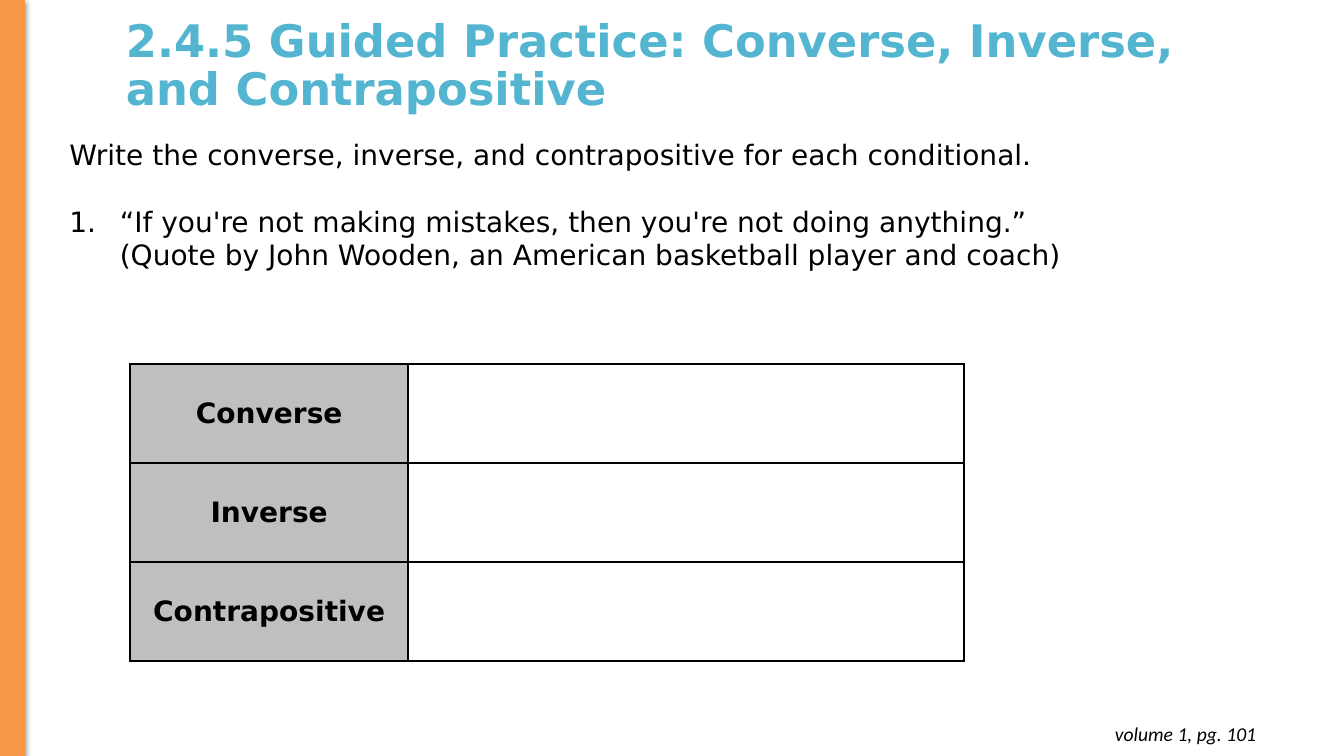
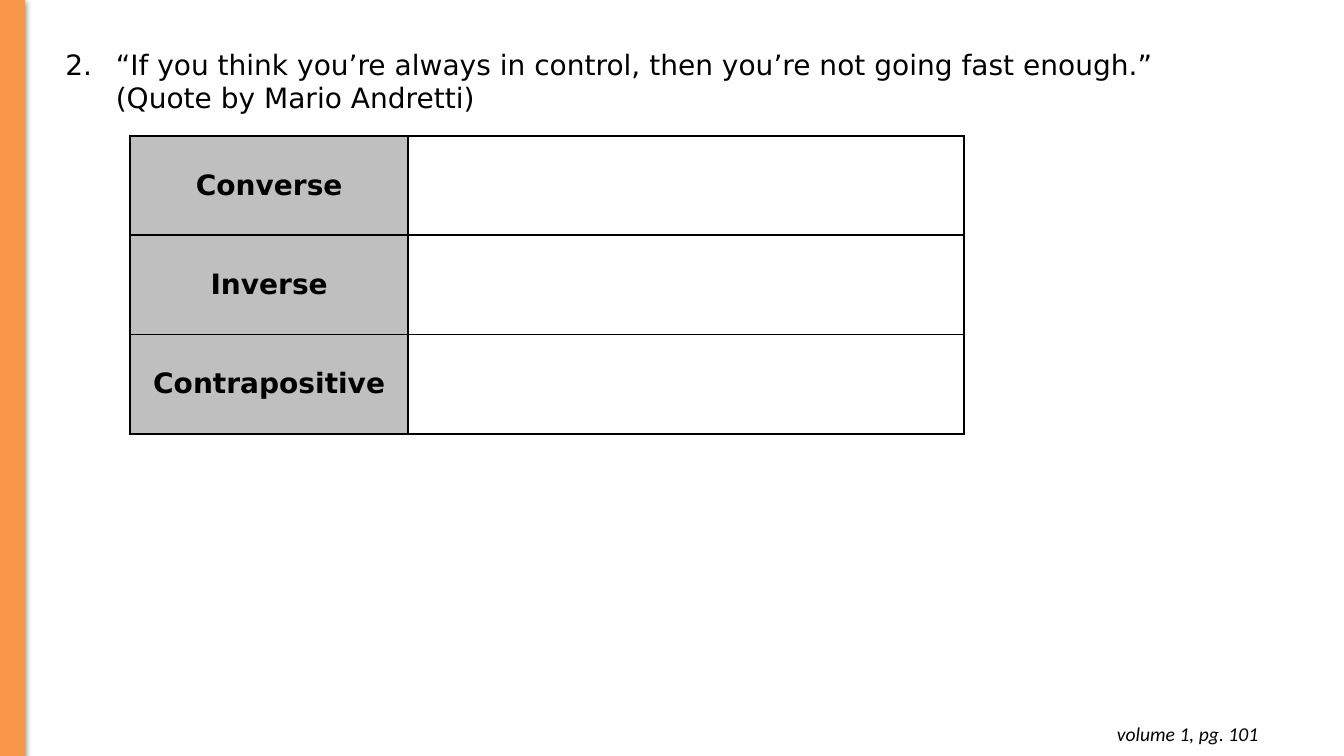
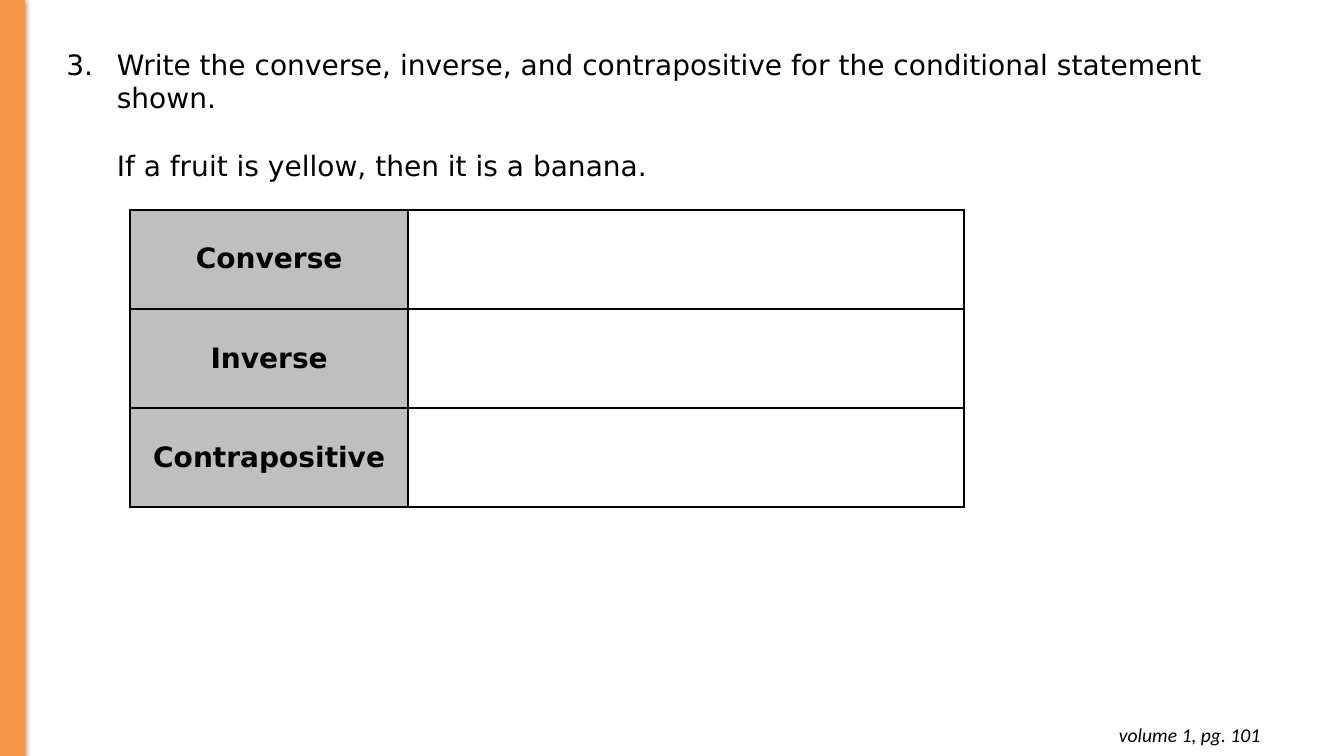
from lxml.etree import SubElement
from pptx import Presentation
from pptx.dml.color import RGBColor
from pptx.enum.shapes import MSO_SHAPE
from pptx.enum.text import MSO_ANCHOR, PP_ALIGN
from pptx.oxml.ns import qn
from pptx.util import Emu, Pt

# Shared look: 100 px to the inch
PX = 9144
SLIDE_WIDTH, SLIDE_HEIGHT = 1333, 750
BLACK = RGBColor(0x00, 0x00, 0x00)
ORANGE = RGBColor(0xF7, 0x96, 0x47)
TEAL = RGBColor(0x54, 0xB5, 0xD1)
GRAY = RGBColor(0xBF, 0xBF, 0xBF)
BODY_FONT, FOOTER_FONT = "DejaVu Sans", "Calibri"
BODY_SIZE = 20
NUMBER_INDENT = 50
BLANK_LINE = Pt(24)

FORMS = ("Converse", "Inverse", "Contrapositive")
FORM_COLUMNS = (276, 551)
FORM_ROW_HEIGHT = 98.4


def px(length):
    return Emu(round(length * PX))


def add_run(paragraph, text, size=BODY_SIZE, font=BODY_FONT, color=BLACK,
            bold=False, italic=False):
    run = paragraph.add_run()
    run.text = text
    run.font.size = Pt(size)
    run.font.name = font
    run.font.color.rgb = color
    run.font.bold = bold
    run.font.italic = italic


def add_text_frame(slide, box):
    text_frame = slide.shapes.add_textbox(*map(px, box)).text_frame
    text_frame.word_wrap = True
    return text_frame


def add_side_band(slide):
    band = slide.shapes.add_shape(
        MSO_SHAPE.RECTANGLE, *map(px, (0, 0, 24, SLIDE_HEIGHT)))
    band.fill.solid()
    band.fill.fore_color.rgb = ORANGE
    band.line.color.rgb = ORANGE
    band.line.width = Pt(0.75)
    # Soft shadow along the edge
    band.shadow.inherit = False
    effects = band.element.spPr.find(qn("a:effectLst"))
    shadow = SubElement(effects, qn("a:outerShdw"), blurRad=str(Pt(4.5)),
                        dist=str(Pt(1.5)), dir="5400000", rotWithShape="0")
    color = SubElement(shadow, qn("a:srgbClr"), val=str(BLACK))
    SubElement(color, qn("a:alpha"), val="50000")


def add_title(slide, text, box):
    text_frame = add_text_frame(slide, box)
    text_frame.vertical_anchor = MSO_ANCHOR.MIDDLE
    paragraph = text_frame.paragraphs[0]
    paragraph.line_spacing = 0.9
    add_run(paragraph, text, size=32, color=TEAL, bold=True)


def set_indent(paragraph, left, first):
    properties = paragraph._p.get_or_add_pPr()
    properties.set("marL", str(px(left)))
    properties.set("indent", str(px(first)))
    return properties


def set_number(paragraph, number):
    properties = set_indent(paragraph, NUMBER_INDENT, -NUMBER_INDENT)
    color = SubElement(properties, qn("a:buClr"))
    SubElement(color, qn("a:srgbClr"), val=str(BLACK))
    SubElement(properties, qn("a:buAutoNum"), type="arabicPeriod",
               startAt=str(number))


def add_question(slide, box, number, question, intro=None, statement=None):
    """Numbered question, with an optional line above and below it."""
    text_frame = add_text_frame(slide, box)
    paragraph = text_frame.paragraphs[0]
    if intro:
        add_run(paragraph, intro)
        paragraph = text_frame.add_paragraph()
        paragraph.space_before = BLANK_LINE
    set_number(paragraph, number)
    add_run(paragraph, question)
    if statement:
        paragraph = text_frame.add_paragraph()
        paragraph.space_before = BLANK_LINE
        set_indent(paragraph, NUMBER_INDENT, 0)
        add_run(paragraph, statement)


def set_borders(cell):
    properties = cell._tc.get_or_add_tcPr()
    for side in ("lnL", "lnR", "lnT", "lnB"):
        line = SubElement(properties, qn(f"a:{side}"), w=str(Pt(1.5)))
        fill = SubElement(line, qn("a:solidFill"))
        SubElement(fill, qn("a:srgbClr"), val=str(BLACK))


def add_forms_table(slide, left, top):
    """Answer grid: a gray label and an empty cell for each form."""
    table = slide.shapes.add_table(
        len(FORMS), len(FORM_COLUMNS), px(left), px(top),
        px(sum(FORM_COLUMNS)), px(FORM_ROW_HEIGHT * len(FORMS))).table
    table.first_row = False
    table.horz_banding = False
    for column, width in zip(table.columns, FORM_COLUMNS):
        column.width = px(width)
    for row, form in zip(table.rows, FORMS):
        row.height = px(FORM_ROW_HEIGHT)
        label, answer = row.cells
        set_borders(label)
        set_borders(answer)
        answer.fill.background()
        label.fill.solid()
        label.fill.fore_color.rgb = GRAY
        label.vertical_anchor = MSO_ANCHOR.MIDDLE
        paragraph = label.text_frame.paragraphs[0]
        paragraph.alignment = PP_ALIGN.CENTER
        add_run(paragraph, form, bold=True)


def add_footer(slide, left, top):
    text_frame = add_text_frame(slide, (left, top, 288, 44))
    text_frame.margin_top = text_frame.margin_bottom = px(10)
    paragraph = text_frame.paragraphs[0]
    paragraph.alignment = PP_ALIGN.RIGHT
    add_run(paragraph, "volume 1, pg. 101", size=14, font=FOOTER_FONT,
            italic=True)


def add_practice_slide(presentation, table_top, footer_at, **question):
    slide = presentation.slides.add_slide(presentation.slide_layouts[6])
    add_side_band(slide)
    add_question(slide, **question)
    add_forms_table(slide, 129, table_top)
    add_footer(slide, *footer_at)
    return slide


def main():
    presentation = Presentation()
    presentation.slide_width = px(SLIDE_WIDTH)
    presentation.slide_height = px(SLIDE_HEIGHT)

    # Question 1, with the lesson title
    slide = add_practice_slide(
        presentation, table_top=361, footer_at=(968, 706),
        box=(59, 131, 1047, 145), number=1,
        intro="Write the converse, inverse, and contrapositive for each "
              "conditional.",
        question="“If you're not making mistakes, then you're not doing "
                 "anything.” (Quote by John Wooden, an American basketball "
                 "player and coach)")
    add_title(slide, "2.4.5 Guided Practice: Converse, Inverse, and "
                     "Contrapositive", (115, 13, 1095, 107))

    # Question 2
    add_practice_slide(
        presentation, table_top=135, footer_at=(970, 706),
        box=(55, 42, 1130, 77), number=2,
        question="“If you think you’re always in control, then you’re not "
                 "going fast enough.” (Quote by Mario Andretti)")

    # Question 3
    add_practice_slide(
        presentation, table_top=208, footer_at=(972, 707),
        box=(56, 42, 1205, 145), number=3,
        question="Write the converse, inverse, and contrapositive for the "
                 "conditional statement shown.",
        statement="If a fruit is yellow, then it is a banana.")

    presentation.save("out.pptx")


if __name__ == "__main__":
    main()
